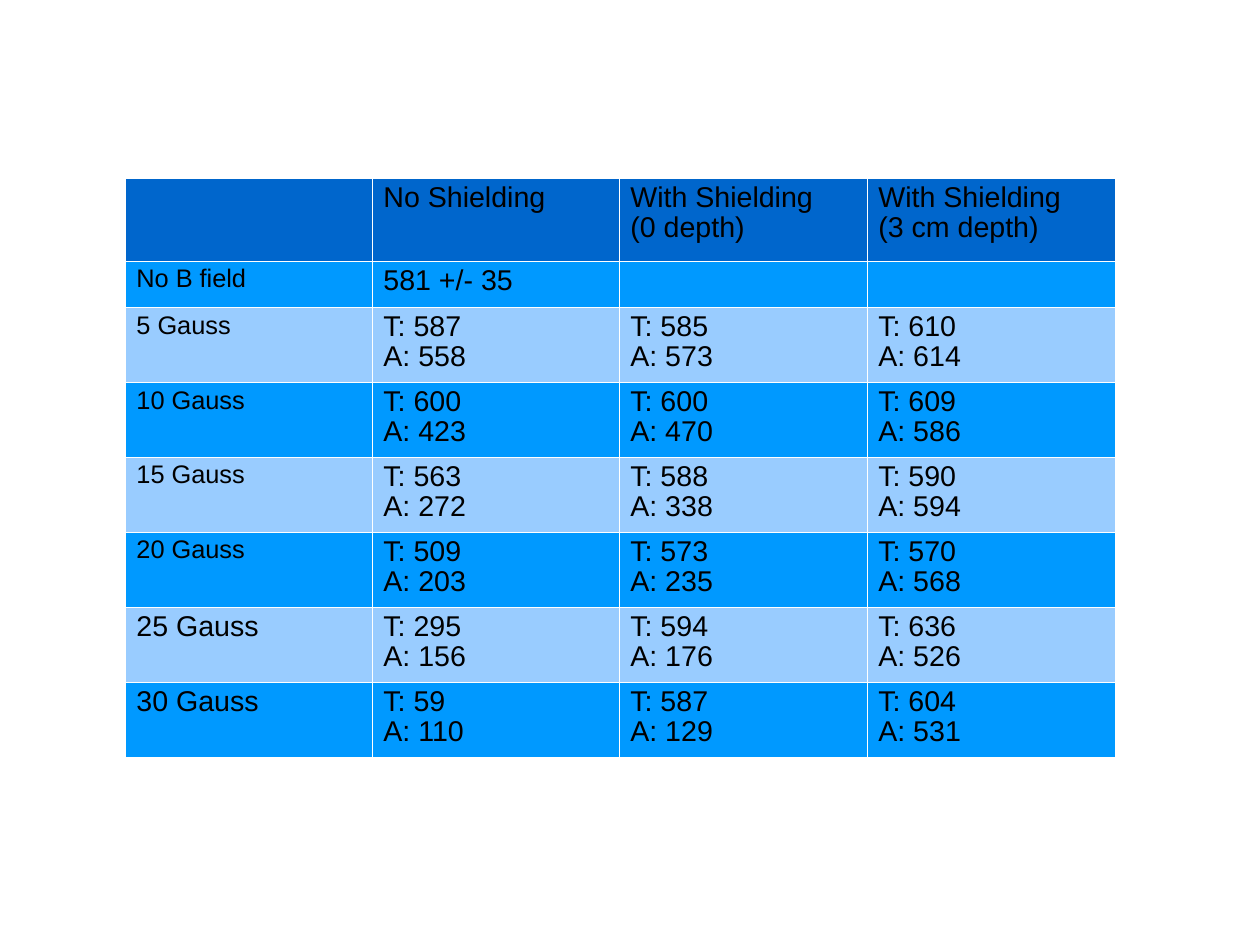
"""Build the table of readings by field strength and shielding."""
from dataclasses import dataclass

from lxml import etree
from pptx import Presentation
from pptx.dml.color import RGBColor
from pptx.oxml.ns import qn
from pptx.util import Pt

HEADINGS = ("", "No Shielding", "With Shielding\n(0 depth)", "With Shielding\n(3 cm depth)")
NO_FIELD = ("No B field", "581 +/- 35", "", "")
READINGS = (
    ("5 Gauss", (587, 558), (585, 573), (610, 614)),
    ("10 Gauss", (600, 423), (600, 470), (609, 586)),
    ("15 Gauss", (563, 272), (588, 338), (590, 594)),
    ("20 Gauss", (509, 203), (573, 235), (570, 568)),
    ("25 Gauss", (295, 156), (594, 176), (636, 526)),
    ("30 Gauss", (59, 110), (587, 129), (604, 531)),
)
SMALL_LABELS = {"No B field", "5 Gauss", "10 Gauss", "15 Gauss", "20 Gauss"}

EMU_PER_PX = 8000
SLIDE_SIZE = (1260, 945)
TABLE_LEFT, TABLE_TOP = 125, 178
COLUMN_WIDTHS = (247, 247, 248, 248)
HEADING_HEIGHT, NO_FIELD_HEIGHT, READING_HEIGHT = 83, 46, 75
BORDER_SIDES = ("a:lnL", "a:lnR", "a:lnT", "a:lnB")


@dataclass(frozen=True)
class Theme:
    font: str = "Arial"
    ink: str = "000000"
    heading_fill: str = "0066CC"
    band_fills: tuple = ("0099FF", "99CCFF")
    border: str = "FFFFFF"
    border_width: float = 0.06
    body_size: int = 18
    label_size: int = 16
    line_spacing: float = 0.93


THEME = Theme()


def px(length):
    return length * EMU_PER_PX


def draw_borders(cell):
    properties = cell._tc.get_or_add_tcPr()
    for position, side in enumerate(BORDER_SIDES):
        line = etree.Element(qn(side), w=str(int(Pt(THEME.border_width))))
        fill = etree.SubElement(line, qn("a:solidFill"))
        etree.SubElement(fill, qn("a:srgbClr"), val=THEME.border)
        properties.insert(position, line)


def fill_cell(cell, wording, fill):
    cell.fill.solid()
    cell.fill.fore_color.rgb = RGBColor.from_string(fill)
    draw_borders(cell)
    cell.text_frame.text = wording
    size = THEME.label_size if wording in SMALL_LABELS else THEME.body_size
    for paragraph in cell.text_frame.paragraphs:
        paragraph.line_spacing = THEME.line_spacing
        paragraph.font.size = Pt(size)
        for run in paragraph.runs:
            run.font.name = THEME.font
            run.font.size = Pt(size)
            run.font.color.rgb = RGBColor.from_string(THEME.ink)


def main():
    deck = Presentation()
    deck.slide_width, deck.slide_height = map(px, SLIDE_SIZE)
    slide = deck.slides.add_slide(deck.slide_layouts[6])

    reading_rows = [
        (field, *(f"T: {t}\nA: {a}" for t, a in pairs)) for field, *pairs in READINGS
    ]
    rows = [HEADINGS, NO_FIELD, *reading_rows]
    heights = [HEADING_HEIGHT, NO_FIELD_HEIGHT] + [READING_HEIGHT] * len(READINGS)
    fills = [THEME.heading_fill] + [
        THEME.band_fills[band % 2] for band in range(len(rows) - 1)
    ]

    readings = slide.shapes.add_table(
        len(rows), len(HEADINGS), px(TABLE_LEFT), px(TABLE_TOP),
        px(sum(COLUMN_WIDTHS)), px(sum(heights)),
    ).table
    readings.first_row = False
    readings.horz_banding = False
    for column, width in zip(readings.columns, COLUMN_WIDTHS):
        column.width = px(width)
    for row, height, fill, wordings in zip(readings.rows, heights, fills, rows):
        row.height = px(height)
        for cell, wording in zip(row.cells, wordings):
            fill_cell(cell, wording, fill)

    deck.save("out.pptx")


if __name__ == "__main__":
    main()
